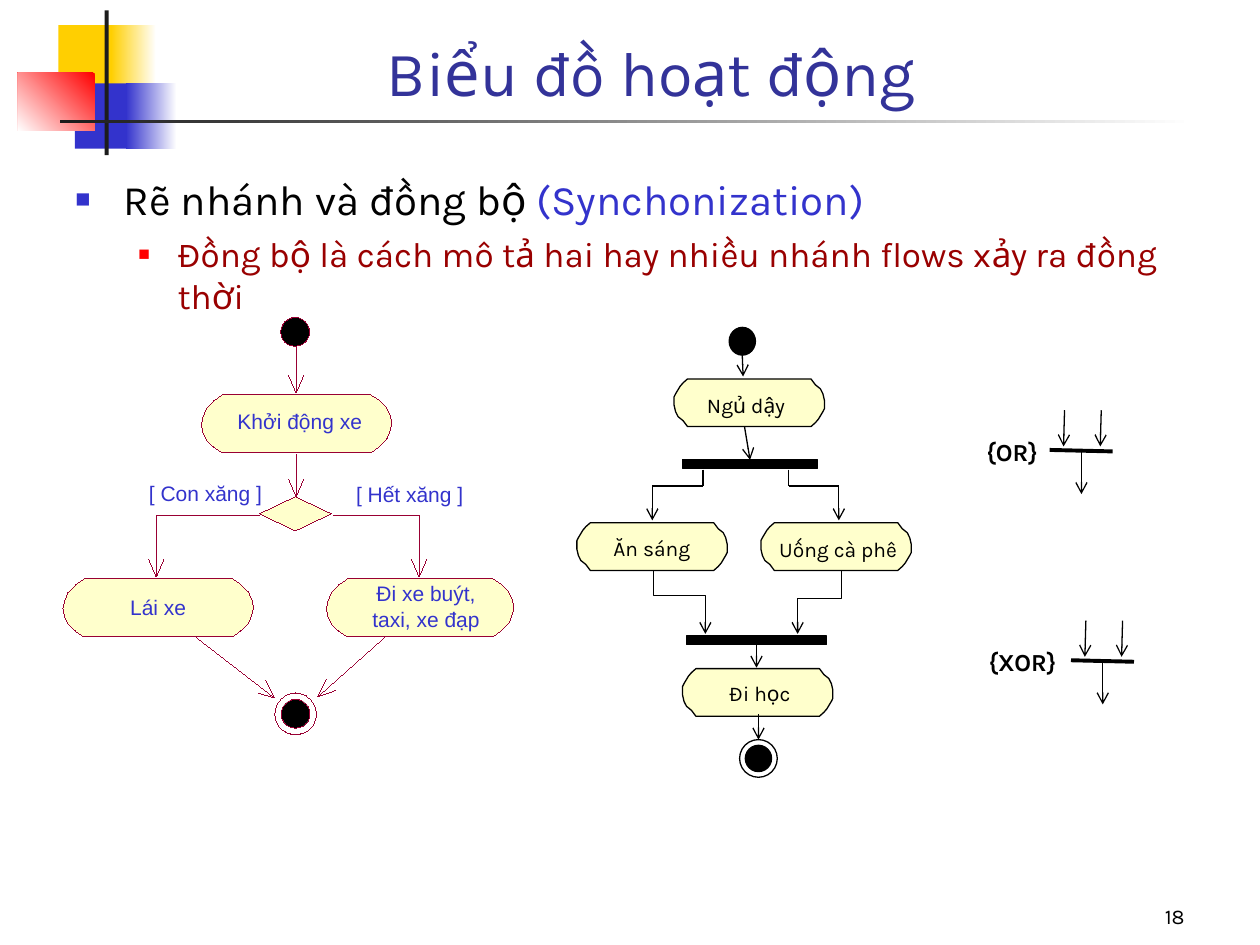
from dataclasses import dataclass
from itertools import pairwise

import pptx
import pptx.dml.color
import pptx.enum.shapes
import pptx.enum.text
import pptx.oxml.ns
import pptx.util
from lxml import etree
from pptx.util import Cm, Pt

SHAPE = pptx.enum.shapes.MSO_SHAPE
ALIGN = pptx.enum.text.PP_ALIGN
ANCHOR = pptx.enum.text.MSO_ANCHOR


@dataclass(frozen=True)
class Theme:
    title: str = "333399"
    blue: str = "3333CC"
    red: str = "FF0000"
    yellow: str = "FFCF01"
    dark: str = "1C1C1C"
    white: str = "FFFFFF"
    black: str = "000000"
    crimson: str = "990000"
    maroon: str = "990033"
    node: str = "FFFFCC"
    font: str = "Karla"
    label_font: str = "Arial"
    title_size: int = 36
    body_size: int = 24
    sub_size: int = 20
    guard_size: int = 14
    label_size: int = 12
    thin: float = 0.75
    bar: float = 2.25


THEME = Theme()
# Left end of a rounded node; the right end is the same turned half round
WIDE_CAP = [(0.43, 0), (0.25, 0.13), (0.1, 0.28), (0.03, 0.46), (0, 0.6),
            (0.03, 0.76), (0.1, 0.91), (0.25, 1.06), (0.43, 1.18)]
SMALL_CAP = [(0.27, 0), (0.18, 0.08), (0.12, 0.15), (0.03, 0.3), (0, 0.36),
             (0, 0.53), (0.03, 0.66), (0.08, 0.76), (0.18, 0.84), (0.27, 0.96)]


def rgb(color):
    return pptx.dml.color.RGBColor.from_string(color)


def add_xml(parent, tag, **attributes):
    return etree.SubElement(parent, pptx.oxml.ns.qn(tag), **attributes)


def style_line(line, color, weight, arrow=False):
    line.color.rgb = rgb(color)
    stroke = line._get_or_add_ln()
    stroke.set("w", str(Pt(weight)))  # a hairline needs its zero written out
    if arrow:
        add_xml(stroke, "a:tailEnd", type="arrow")


@dataclass
class Region:
    """A box in centimetres; its parts are placed from its top left corner."""
    shapes: object
    left: float
    top: float
    ink: str = THEME.black
    weight: float = THEME.thin

    def at(self, x, y):
        return Cm(self.left + x), Cm(self.top + y)

    def style(self, shape, fill=None, outlined=True, arrow=False):
        shape.shadow.inherit = False
        if fill:
            shape.fill.solid()
            shape.fill.fore_color.rgb = rgb(fill)
        else:
            shape.fill.background()
        if outlined:
            style_line(shape.line, self.ink, self.weight, arrow)
        else:
            shape.line.fill.background()
        return shape

    def preset(self, kind, x, y, width, height, fill=None, outlined=True):
        shape = self.shapes.add_shape(kind, *self.at(x, y), Cm(width), Cm(height))
        return self.style(shape, fill, outlined)

    def outline(self, points, fill=None, close=False, arrow=False):
        start, *rest = [self.at(*point) for point in points]
        builder = self.shapes.build_freeform(*start)
        builder.add_line_segments(rest, close=close)
        self.style(builder.convert_to_shape(), fill, arrow=arrow)

    def node(self, x, y, width, cap):
        height = cap[-1][1]
        ends = cap + [(width - dx, height - dy) for dx, dy in cap]
        self.outline([(x + dx, y + dy) for dx, dy in ends], THEME.node, close=True)

    def line(self, start, end, arrow=False, weight=None):
        line = self.shapes.add_connector(pptx.enum.shapes.MSO_CONNECTOR.STRAIGHT,
                                         *self.at(*start), *self.at(*end))
        style_line(line.line, self.ink, self.weight if weight is None else weight, arrow)
        add_xml(line._element.spPr, "a:effectLst")
        return line

    def open_arrow(self, points, *barbs):
        tip_x, tip_y = points[-1]
        first, second = [(tip_x + dx, tip_y + dy) for dx, dy in barbs]
        self.outline(points + [first])
        self.line(points[-1], second)

    def text(self, words, x, y, width, height, size, color, font=THEME.font,
             align=ALIGN.CENTER, anchor=ANCHOR.TOP, bold=False, tight=False):
        box = self.shapes.add_textbox(*self.at(x, y), Cm(width), Cm(height))
        frame = box.text_frame
        frame.text = words
        frame.word_wrap = not tight
        frame.vertical_anchor = anchor
        if tight:
            frame.auto_size = pptx.enum.text.MSO_AUTO_SIZE.SHAPE_TO_FIT_TEXT
            frame.margin_left = frame.margin_right = 0
            frame.margin_top = frame.margin_bottom = 0
        for paragraph in frame.paragraphs:
            paragraph.alignment = align
            for run in paragraph.runs:
                style_run(run, size, color, font, bold)
        return frame

    def end_mark(self, x, y, ring, dot):
        inset = (ring - dot) / 2
        self.preset(SHAPE.OVAL, x, y, ring, ring)
        self.preset(SHAPE.OVAL, x + inset, y + inset, dot, dot, THEME.black)


def style_run(run, size, color, font=THEME.font, bold=False):
    run.font.size, run.font.name, run.font.bold = Pt(size), font, bold
    run.font.color.rgb = rgb(color)


def draw_ornament(region):
    # Coloured squares, cross bar and fading rule; angle None means a plain fill
    for x, y, width, height, first, last, angle in [
            (0.82, 0, 1.22, 1.32, THEME.yellow, None, None),
            (1.88, 0, 0.91, 1.32, THEME.white, THEME.yellow, 180),
            (1.15, 1.17, 1.17, 1.32, THEME.blue, None, None),
            (2.18, 1.17, 1.02, 1.32, THEME.white, THEME.blue, 180),
            (0, 0.96, 1.55, 1.17, THEME.red, THEME.white, 225),
            (1.75, -0.3, 0.08, 2.92, THEME.dark, None, None),
            (0.86, 1.9, 22.86, 0.08, THEME.white, THEME.dark, 180)]:
        block = region.preset(SHAPE.RECTANGLE, x, y, width, height, first, outlined=False)
        if angle is not None:
            block.fill.gradient()
            block.fill.gradient_angle = angle
            for stop, color in zip(block.fill.gradient_stops, (first, last)):
                stop.color.rgb = rgb(color)


def draw_outline_text(region):
    frame = region.text("Rẽ nhánh và đồng bộ ", 0, 0, 23.6, 13.97, THEME.body_size,
                        THEME.black, align=ALIGN.LEFT)
    topic, detail = frame.paragraphs[0], frame.add_paragraph()
    term = topic.add_run()
    term.text = "(Synchonization)"
    style_run(term, THEME.body_size, THEME.blue)
    detail.text = "Đồng bộ là cách mô tả hai hay nhiều nhánh flows xảy ra đồng thời"
    detail.level = 1
    style_run(detail.runs[0], THEME.sub_size, THEME.crimson)
    for paragraph, margin, hang, before, color, percent in [
            (topic, 0.97, 0.97, 6, THEME.blue, 60),
            (detail, 2.06, 0.79, 5, THEME.red, 55)]:
        paragraph.space_before = Pt(before)
        properties = paragraph._p.get_or_add_pPr()
        properties.set("marL", str(Cm(margin)))
        properties.set("indent", str(-Cm(hang)))
        add_xml(add_xml(properties, "a:buClr"), "a:srgbClr", val=color)
        add_xml(properties, "a:buSzPct", val=str(percent * 1000))
        add_xml(properties, "a:buFont", typeface=THEME.label_font)
        add_xml(properties, "a:buChar", char="■")


def draw_branching(region):
    # Start, activities and decision
    region.preset(SHAPE.OVAL, 4.39, 0, 0.58, 0.58, THEME.black)
    for x, y, width in [(2.79, 1.55, 3.84), (0, 5.26, 3.84), (5.31, 5.26, 3.78)]:
        region.node(x, y, width, WIDE_CAP)
    region.preset(SHAPE.DIAMOND, 3.96, 3.61, 1.45, 0.69, THEME.node)
    region.end_mark(4.27, 7.57, 0.84, 0.58)
    # Flows
    down = (0.15, -0.35), (-0.15, -0.35)
    region.open_arrow([(4.7, 0.61), (4.7, 1.52)], *down)
    region.open_arrow([(4.7, 2.77), (4.7, 3.61)], *down)
    region.open_arrow([(3.96, 3.99), (1.88, 3.99), (1.88, 5.23)], *down)
    region.open_arrow([(5.46, 3.99), (7.18, 3.99), (7.18, 5.23)], *down)
    region.open_arrow([(2.69, 6.45), (4.27, 7.67)], (-0.18, -0.36), (-0.33, -0.1))
    region.open_arrow([(6.48, 6.45), (5.13, 7.65)], (0.36, -0.13), (0.18, -0.36))
    # Activity names and guards
    for words, x, y, width, height in [
            ("Khởi động xe", 3.51, 1.83, 2.53, 0.51), ("Lái xe", 1.35, 5.59, 1.14, 0.51),
            ("Đi xe buýt,\ntaxi, xe đạp", 6.22, 5.31, 2.2, 1.02),
            ("[ Con xăng ]", 1.73, 3.28, 2.29, 0.51), ("[ Hết xăng ]", 5.89, 3.3, 2.2, 0.51)]:
        region.text(words, x, y, width, height, THEME.label_size, THEME.blue,
                    THEME.label_font, tight=True)


def draw_synchronization(region):
    # Start, activities and end
    region.preset(SHAPE.OVAL, 3.07, 0, 0.53, 0.56, THEME.black)
    for words, x, y, text_x, text_y, text_width in [
            ("Ngủ dậy", 1.96, 1.04, 2.57, 1.32, 1.68), ("Ăn sáng", 0, 3.94, 0.71, 4.19, 1.6),
            ("Uống cà phê", 3.71, 3.94, 4.01, 4.22, 2.51), ("Đi học", 2.13, 6.88, 3.07, 7.11, 1.24)]:
        region.node(x, y, 3.03, SMALL_CAP)
        region.text(words, text_x, text_y, text_width, 0.51, THEME.label_size,
                    THEME.black, tight=True)
    region.end_mark(3.28, 8.31, 0.76, 0.53)
    # Fork and join bars with their flows
    fork = region.preset(SHAPE.RECTANGLE, 2.13, 2.67, 2.72, 0.18, THEME.black)
    join = region.preset(SHAPE.RECTANGLE, 2.21, 6.22, 2.82, 0.18, THEME.black)
    region.line((3.33, 0.48), (3.35, 0.99), arrow=True)
    region.line((3.38, 2.01), (3.49, 2.67), arrow=True).end_connect(fork, 0)
    region.line((3.62, 6.4), (3.62, 6.86), arrow=True).begin_connect(join, 2)
    region.line((3.66, 7.8), (3.66, 8.31), arrow=True)
    for inner, outer in [(4.27, 5.28), (2.54, 1.52)]:
        bends = [(inner, 2.87), (inner, 3.2), (outer, 3.2), (outer, 3.89)]
        for start, end in pairwise(bends):
            region.line(start, end, arrow=end == bends[-1])
    for outer, bend_y, inner in [(1.55, 5.41, 2.59), (5.33, 5.46, 4.45)]:
        region.outline([(outer, 4.9), (outer, bend_y), (inner, bend_y), (inner, 6.18)], arrow=True)


def draw_merge(region, guard, guard_x, guard_width):
    region.text(guard, guard_x, -0.39, guard_width, 0.84, THEME.guard_size, THEME.black, bold=True)
    region.line((1.27, 0.03), (0, 0), weight=THEME.bar)
    for start, end in [((1.04, -0.8), (1.02, -0.07)), ((0.3, -0.8), (0.28, -0.07)),
                       ((0.64, 0.05), (0.64, 0.89))]:
        region.line(start, end, arrow=True)


def main():
    deck = pptx.Presentation()
    deck.slide_width, deck.slide_height = Cm(25.4), Cm(19.05)
    shapes = deck.slides.add_slide(deck.slide_layouts[6]).shapes
    draw_ornament(Region(shapes, 0.36, 0.51))
    Region(shapes, 3.2, 0.2).text("Biểu đồ hoạt động", 0, 0, 19.86, 2.13, THEME.title_size,
                                  THEME.title, anchor=ANCHOR.BOTTOM)
    draw_outline_text(Region(shapes, 1.27, 3.38))
    draw_synchronization(Region(shapes, 11.63, 6.6))
    draw_merge(Region(shapes, 21.16, 9.07), "{OR}", -1.68, 1.85)
    draw_merge(Region(shapes, 21.59, 13.31), "{XOR}", -2.26, 2.57)
    draw_branching(Region(shapes, 1.27, 6.4, THEME.maroon, 0))
    Region(shapes, 18.85, 17.58).text("18", 0, 0, 5.28, 1.27, THEME.label_size, THEME.black,
                                      align=ALIGN.RIGHT, anchor=ANCHOR.BOTTOM)
    deck.save("out.pptx")


if __name__ == "__main__":
    main()
